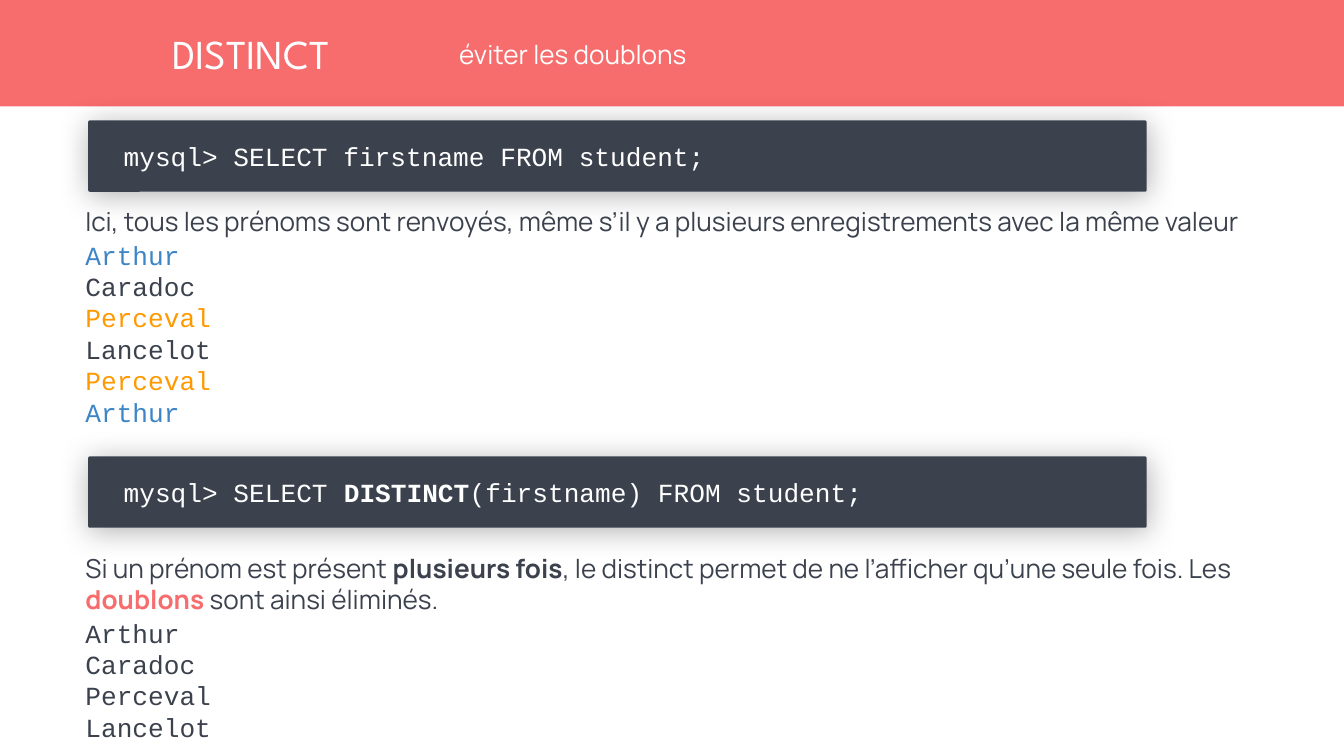
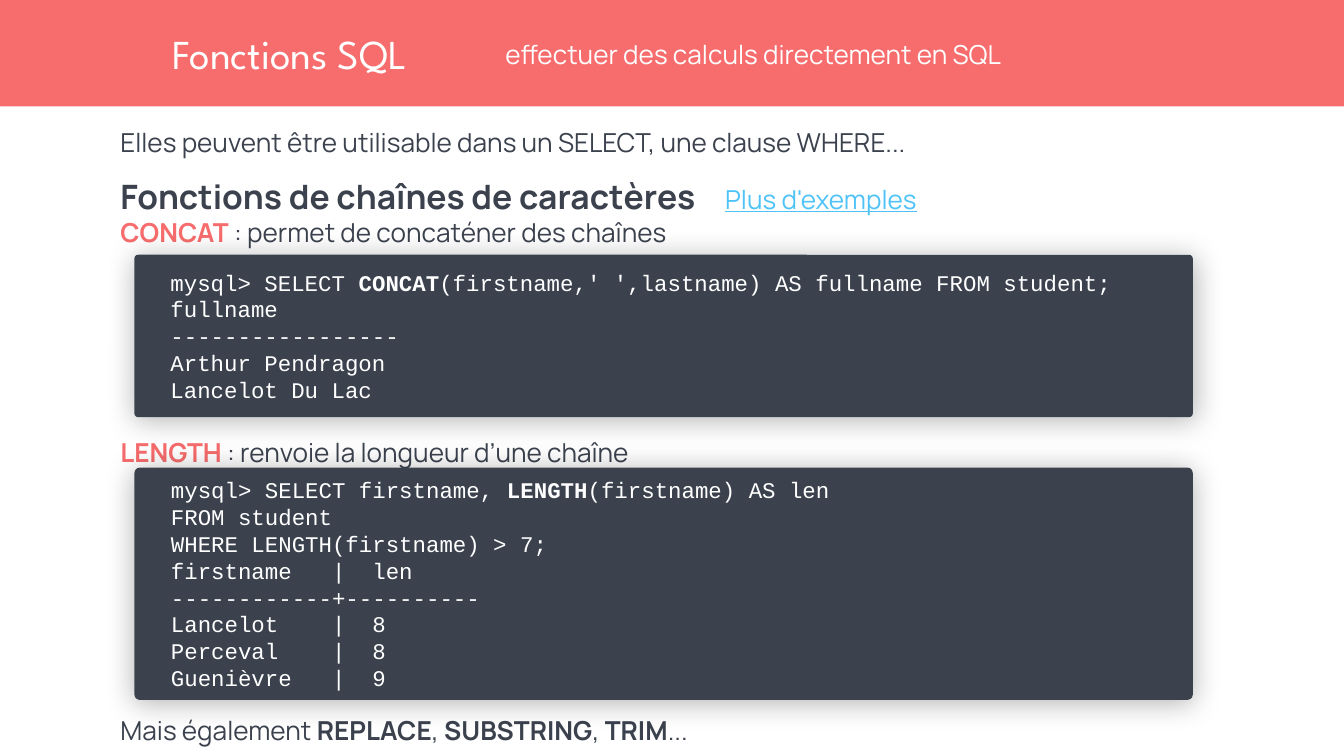
from dataclasses import dataclass
from lxml.etree import SubElement
from pptx import Presentation
from pptx.dml.color import RGBColor
from pptx.enum.shapes import MSO_SHAPE
from pptx.enum.text import MSO_ANCHOR, MSO_AUTO_SIZE, PP_ALIGN
from pptx.oxml.ns import qn
from pptx.util import Pt

RECT, ROUND = MSO_SHAPE.RECTANGLE, MSO_SHAPE.ROUNDED_RECTANGLE
TOP, MIDDLE = MSO_ANCHOR.TOP, MSO_ANCHOR.MIDDLE
LEFT = PP_ALIGN.LEFT
FIXED = MSO_AUTO_SIZE.NONE

SCALE = 9525
COLORS = {
    "coral": "F76C6C",
    "ink": "3B424E",
    "white": "FFFFFF",
    "blue": "3D85C6",
    "orange": "FF9900",
    "sky": "4FC3F7",
    "black": "000000",
}
HEAD, SANS, MONO = "League Spartan", "Manrope", "Courier New"
PITCH = 1.2


@dataclass(frozen=True)
class Box:
    x: int
    y: int
    w: int
    h: int


@dataclass(frozen=True)
class Run:
    text: str
    bold: bool = False
    color: str = "ink"
    font: str = SANS
    size: int = 14
    under: bool = False


@dataclass(frozen=True)
class Line:
    runs: tuple[Run, ...]
    gap: int = 0
    tab: int = 0


@dataclass(frozen=True)
class Code:
    box: Box
    size: int
    lines: tuple[tuple[str, ...], ...]


@dataclass(frozen=True)
class Page:
    title: str
    sub: str
    sub_box: Box
    body_box: Box
    inset: int
    lines: tuple[Line, ...]
    codes: tuple[Code, ...]


def px(n: int) -> int:
    return n * SCALE


def rgb(name: str) -> RGBColor:
    return RGBColor.from_string(COLORS[name])


def place(shape, box: Box) -> None:
    shape.left, shape.top = px(box.x), px(box.y)
    shape.width, shape.height = px(box.w), px(box.h)


def write(shape, lines: tuple[Line, ...], anchor, insets=(0, 0, 0, 0)) -> None:
    frame = shape.text_frame
    frame.word_wrap = True
    frame.auto_size = FIXED
    frame.vertical_anchor = anchor
    (frame.margin_left, frame.margin_top,
     frame.margin_right, frame.margin_bottom) = map(px, insets)
    for i, line in enumerate(lines):
        para = frame.add_paragraph() if i else frame.paragraphs[0]
        props = para._p.get_or_add_pPr()
        props.set("marL", "0")
        props.set("indent", "0")
        SubElement(props, qn("a:buNone"))
        if line.tab:
            tabs = SubElement(props, qn("a:tabLst"))
            SubElement(tabs, qn("a:tab"), pos=str(px(line.tab)), algn="l")
        para.alignment = LEFT
        para.space_before, para.space_after = Pt(line.gap), Pt(0)
        para.line_spacing = Pt(PITCH * max(r.size for r in line.runs))
        for item in line.runs:
            run = para.add_run()
            run.text = item.text
            font = run.font
            font.name, font.size = item.font, Pt(item.size)
            font.bold, font.underline = item.bold, item.under
            font.color.rgb = rgb(item.color)


def panel(slide, kind, box: Box, color: str):
    shape = slide.shapes.add_shape(kind, *map(px, (box.x, box.y, box.w, box.h)))
    shape.shadow.inherit = False
    shape.fill.solid()
    shape.fill.fore_color.rgb = rgb(color)
    shape.line.fill.background()
    return shape


def draw_code(slide, code: Code) -> None:
    shape = panel(slide, ROUND, code.box, "ink")
    shape.adjustments[0] = 0.023
    glow = SubElement(
        shape.element.spPr.find(qn("a:effectLst")), qn("a:outerShdw"),
        blurRad=str(Pt(15.8)), dist=str(Pt(1.5)), dir="5400000",
        algn="ctr", rotWithShape="0")
    tint = SubElement(glow, qn("a:srgbClr"), val=COLORS["black"])
    SubElement(tint, qn("a:alpha"), val="30000")
    lines = tuple(
        Line(tuple(Run(text, i % 2 == 1, "white", MONO, code.size)
                   for i, text in enumerate(parts)))
        for parts in code.lines)
    write(shape, lines, MIDDLE, (25, 10, 10, 10))


def draw_page(deck, layout, page: Page) -> None:
    slide = deck.slides.add_slide(layout)
    title, body, sub = slide.placeholders
    place(title, Box(123, 0, 246, 76))
    write(title, (Line((Run(page.title, color="white", font=HEAD, size=22),)),), MIDDLE)
    place(sub, page.sub_box)
    write(sub, (Line((Run(page.sub, color="white"),)),), MIDDLE)
    place(body, page.body_box)
    write(body, page.lines, TOP, (0, page.inset, 0, 0))
    for code in page.codes:
        draw_code(slide, code)


def names(*pairs: tuple[str, str]) -> tuple[Line, ...]:
    return tuple(Line((Run(name, color=color, font=MONO),), 0 if i else 1)
                 for i, (name, color) in enumerate(pairs))


def term(word: str, text: str, gap: int) -> Line:
    return Line((Run(word, True, "coral"), Run(text)), gap)


PAGES = (
    Page(
        "DISTINCT", "éviter les doublons",
        Box(328, 20, 292, 37), Box(61, 87, 840, 295), 60,
        (
            Line((Run("Ici, tous les prénoms sont renvoyés, même s’il y a plusieurs "
                      "enregistrements avec la même valeur"),)),
            *names(("Arthur", "blue"), ("Caradoc", "ink"), ("Perceval", "orange"),
                   ("Lancelot", "ink"), ("Perceval", "orange"), ("Arthur", "blue")),
            Line((
                Run("Si un prénom est présent "),
                Run("plusieurs fois", True),
                Run(", le distinct permet de ne l’afficher qu’une seule fois. Les "),
                Run("doublons", True, "coral"),
                Run(" sont ainsi éliminés."),
            ), 67),
            *names(*((name, "ink") for name in
                     ("Arthur", "Caradoc", "Perceval", "Lancelot"))),
        ),
        (
            Code(Box(63, 86, 756, 51), 14,
                 (("mysql> SELECT firstname FROM student;",),)),
            Code(Box(63, 326, 756, 51), 14,
                 (("mysql> SELECT ", "DISTINCT", "(firstname) FROM student;"),)),
        ),
    ),
    Page(
        "Fonctions SQL", "effectuer des calculs directement en SQL",
        Box(361, 20, 470, 37), Box(86, 90, 824, 295), 0,
        (
            Line((Run("Elles peuvent être utilisable dans un SELECT, "
                      "une clause WHERE..."),)),
            Line((
                Run("Fonctions de chaînes de caractères", True, size=18),
                Run("\t"),
                Run("Plus d'exemples", color="sky", under=True),
            ), 10, 421),
            term("CONCAT", " : permet de concaténer des chaînes", 0),
            term("LENGTH", " : renvoie la longueur d’une chaîne", 101),
            Line((
                Run("Mais également "), Run("REPLACE", True), Run(", "),
                Run("SUBSTRING", True), Run(", "), Run("TRIM", True), Run("..."),
            ), 132),
        ),
        (
            Code(Box(96, 182, 756, 116), 12, (
                ("mysql> SELECT ", "CONCAT",
                 "(firstname,' ',lastname) AS fullname FROM student;"),
                ("fullname",),
                ("-----------------",),
                ("Arthur Pendragon",),
                ("Lancelot Du Lac",),
            )),
            Code(Box(96, 334, 756, 166), 12, (
                ("mysql> SELECT firstname, ", "LENGTH", "(firstname) AS len"),
                ("FROM student",),
                ("WHERE LENGTH(firstname) > 7;",),
                ("firstname   |  len",),
                ("------------+----------",),
                ("Lancelot    |  8",),
                ("Perceval    |  8",),
                ("Guenièvre   |  9",),
            )),
        ),
    ),
)


def main() -> None:
    deck = Presentation()
    deck.slide_width, deck.slide_height = px(960), px(540)
    layout = deck.slide_layouts[3]
    for page in PAGES:
        draw_page(deck, layout, page)
    band = panel(deck.slides[0], RECT, Box(-2, 0, 964, 76), "coral")
    layout.shapes.element.insert(2, band.element)
    deck.save("out.pptx")


if __name__ == "__main__":
    main()
